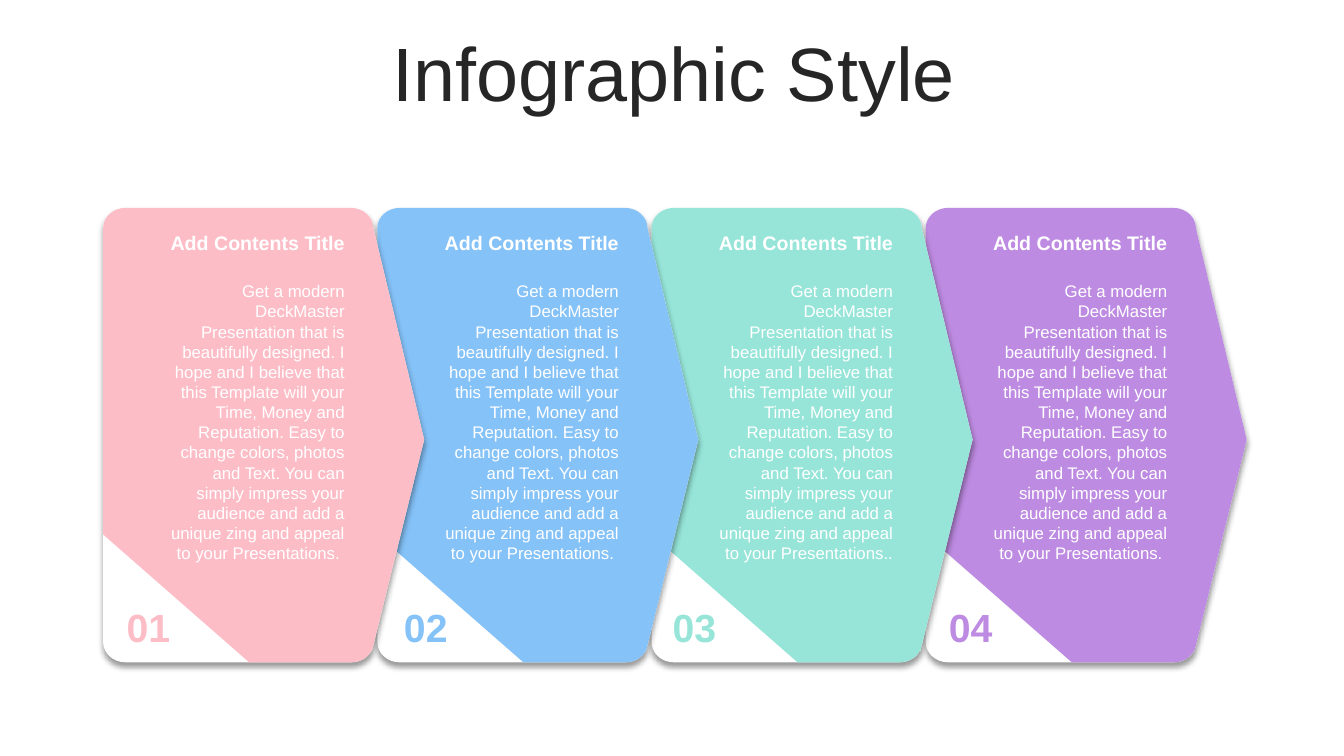
from lxml.etree import SubElement
from pptx import Presentation
from pptx.dml.color import RGBColor
from pptx.enum.text import MSO_ANCHOR, PP_ALIGN
from pptx.oxml.ns import qn
from pptx.util import Cm, Pt

WHITE = RGBColor(0xFF, 0xFF, 0xFF)
DARK = RGBColor(0x26, 0x26, 0x26)
PINK = RGBColor(0xFD, 0xBD, 0xC7)
BLUE = RGBColor(0x85, 0xC2, 0xF8)
MINT = RGBColor(0x96, 0xE5, 0xD8)
PURPLE = RGBColor(0xBE, 0x8B, 0xE2)

HEADING = "Add Contents Title"
BODY = (
    "Get a modern DeckMaster Presentation that is beautifully designed. "
    "I hope and I believe that this Template will your Time, Money and "
    "Reputation. Easy to change colors, photos and Text. You can simply "
    "impress your audience and add a unique zing and appeal to your "
    "Presentations."
)
# colour, end of the body text, shift of the number from the panel's left edge
PANELS = [
    (PINK, " ", 0.02),
    (BLUE, " ", 0.1),
    (MINT, ".", -0.04),
    (PURPLE, " ", 0.01),
]
LEFT, TOP, PITCH = 2.6, 5.24, 6.91

# Panel outline in cm from its top left corner; a step is the points of
# one straight line (one point) or one Bézier curve (three points)
START = (0.56, 0)
RIGHT_SIDE = [
    [(6.25, 0)],
    [(6.55, 0), (6.81, 0.23), (6.81, 0.51)],
    [(8.09, 5.84)],
    [(6.77, 11.18)],
    [(6.77, 11.13)],
    [(6.69, 11.33), (6.48, 11.45), (6.25, 11.45)],
]
ROUND_CORNER = [
    [(0.56, 11.45)],
    [(0.25, 11.45), (0, 11.22), (0, 10.94)],
]
CUT_CORNER = [[(3.68, 11.45)], [(0, 8.23)]]
LEFT_SIDE = [
    [(0, 0.51)],
    [(0, 0.23), (0.25, 0), START],
]


def write(tf, text, size, color, bold=False, align=PP_ALIGN.LEFT,
          anchor=MSO_ANCHOR.TOP, line_spacing=None):
    tf.word_wrap = True
    tf.vertical_anchor = anchor
    p = tf.paragraphs[0]
    p.alignment = align
    p.space_before = Pt(0)
    if line_spacing:
        p.line_spacing = line_spacing
    r = p.add_run()
    r.text = text
    r.font.name = "Arial"
    r.font.size = Pt(size)
    r.font.bold = bold
    r.font.color.rgb = color


class Deck:
    def __init__(self):
        self.prs = Presentation()
        self.prs.slide_width, self.prs.slide_height = Cm(33.87), Cm(19.05)
        self.slide = self.prs.slides.add_slide(self.prs.slide_layouts[5])

    def title(self, text, x, y, w, h):
        sp = self.slide.shapes.title
        sp.left, sp.top, sp.width, sp.height = Cm(x), Cm(y), Cm(w), Cm(h)
        write(sp.text_frame, text, 54, DARK, align=PP_ALIGN.CENTER,
              anchor=MSO_ANCHOR.MIDDLE, line_spacing=0.9)

    def text(self, text, x, y, w, h, inset=(0.25, 0.13), **style):
        tf = self.slide.shapes.add_textbox(Cm(x), Cm(y), Cm(w), Cm(h)).text_frame
        tf.margin_left = tf.margin_right = Cm(inset[0])
        tf.margin_top = tf.margin_bottom = Cm(inset[1])
        write(tf, text, **style)

    def outline(self, shapes, corner, x, y, color):
        """Panel shape; its lines are built first, then the curves are bent."""
        steps = RIGHT_SIDE + corner + LEFT_SIDE
        builder = shapes.build_freeform(Cm(START[0]), Cm(START[1]))
        builder.add_line_segments([(Cm(px), Cm(py)) for *_, (px, py) in steps])
        sp = builder.convert_to_shape(Cm(x), Cm(y))
        lines = list(sp._element.iter(qn("a:lnTo")))
        for line, (*controls, _) in zip(lines, steps):
            if controls:
                line.tag = qn("a:cubicBezTo")
            for i, (px, py) in enumerate(controls):
                pt = SubElement(line, qn("a:pt"), x=str(Cm(px)), y=str(Cm(py)))
                line.insert(i, pt)
        sp.fill.solid()
        sp.fill.fore_color.rgb = color
        sp.line.fill.background()
        sp.shadow.inherit = False
        return sp

    def drop_shadow(self, sp):
        effects = sp._element.spPr.find(qn("a:effectLst"))
        shadow = SubElement(effects, qn("a:outerShdw"), blurRad=str(Pt(4)),
                            dist=str(Pt(3)), dir="5400000", algn="t", rotWithShape="0")
        black = SubElement(shadow, qn("a:srgbClr"), val="000000")
        SubElement(black, qn("a:alpha"), val="40000")

    def panel(self, number, color, ending, shift):
        x = LEFT + (number - 1) * PITCH
        shapes = self.slide.shapes.add_group_shape().shapes
        self.drop_shadow(self.outline(shapes, ROUND_CORNER, x, TOP, WHITE))
        self.outline(shapes, CUT_CORNER, x, TOP, color)
        self.text(BODY + ending, x + 1.23, 6.95, 5.11, 7.44,
                  size=12, color=WHITE, align=PP_ALIGN.RIGHT)
        self.text(HEADING, x + 1.23, 5.69, 5.11, 0.86,
                  size=14, color=WHITE, bold=True, align=PP_ALIGN.RIGHT)
        self.text(f"{number:02}", x + shift, 15.19, 2.24, 1.19, inset=(0.2, 0),
                  size=28, color=color, bold=True, align=PP_ALIGN.CENTER,
                  anchor=MSO_ANCHOR.MIDDLE)


def main():
    deck = Deck()
    deck.title("Infographic Style", 0.9, 0.94, 32.16, 2.01)
    # Each panel's tip lies over the panel to its right
    for number, panel in reversed(list(enumerate(PANELS, 1))):
        deck.panel(number, *panel)
    deck.prs.save("out.pptx")


if __name__ == "__main__":
    main()
